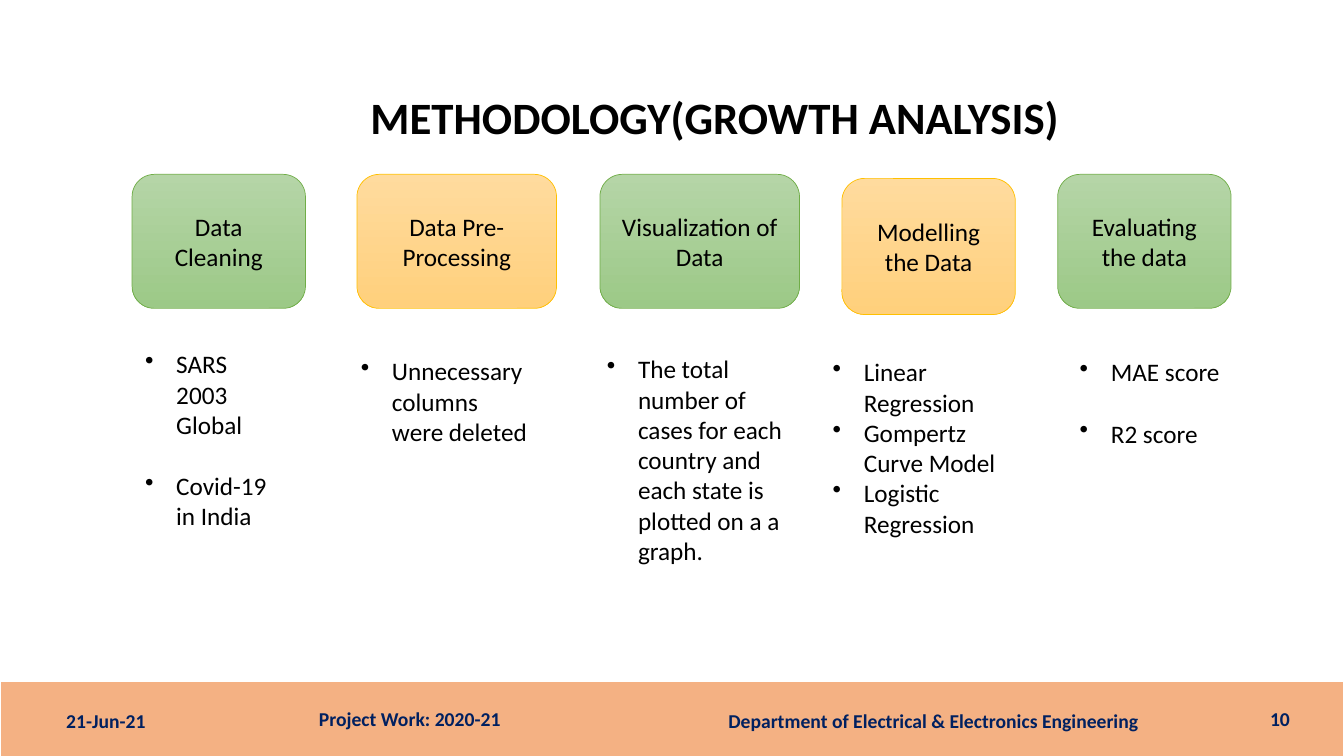
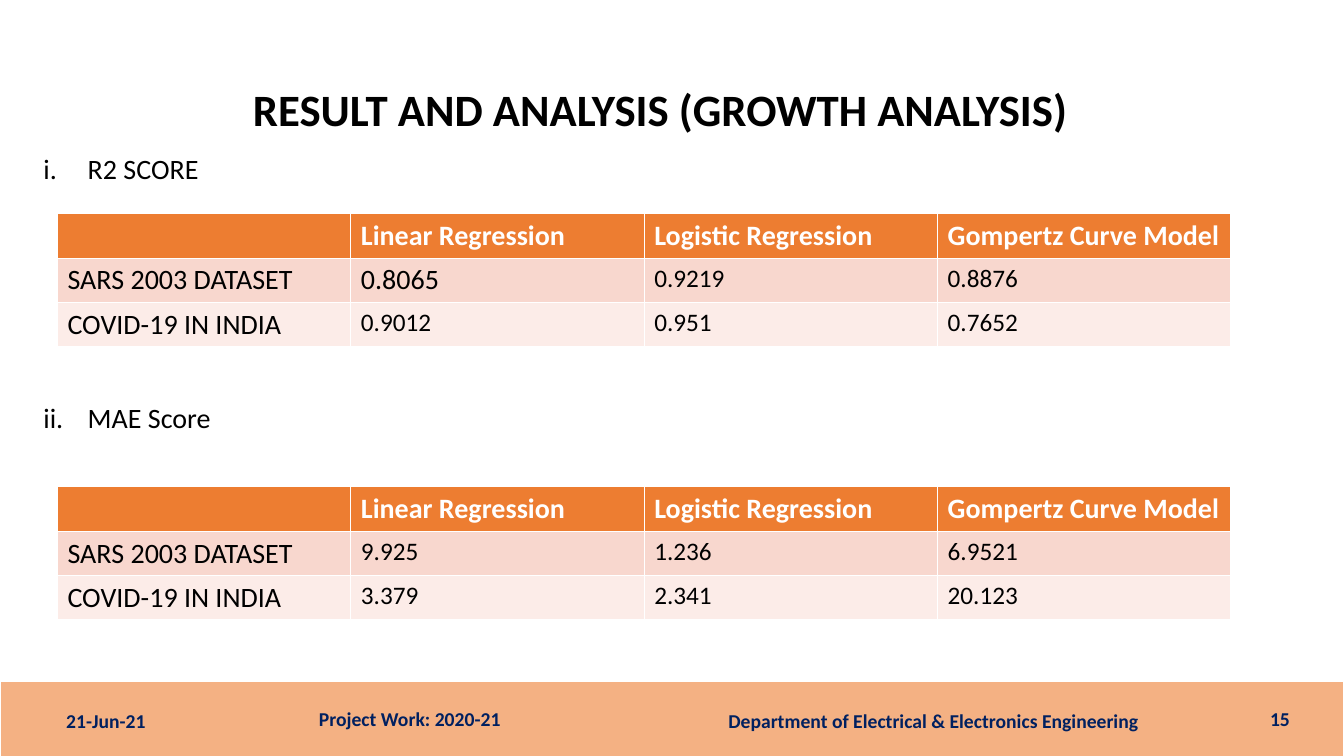
"""Build two slides on the method and results of a growth analysis."""
from dataclasses import dataclass

from lxml import etree
from pptx import Presentation
from pptx import util as u
from pptx.dml import color
from pptx.enum import shapes, text
from pptx.oxml import ns


@dataclass(frozen=True)
class Theme:
    font: str = "Calibri"
    ink: str = "000000"
    paper: str = "FFFFFF"
    navy: str = "002060"
    band: str = "F4B183"
    header: str = "ED7D31"
    rows: tuple = ("F8D7CE", "FCECE8")
    green: tuple = ("B5D5A7", "9CC987", "70AD47")
    amber: tuple = ("FFDB9E", "FFD07C", "FFC000")
    title_size: int = 32
    lead_size: int = 20
    body_size: int = 18
    footer_size: int = 14


theme = Theme()
rgb = color.RGBColor.from_string
left, center = text.PP_ALIGN.LEFT, text.PP_ALIGN.CENTER
top, middle = text.MSO_ANCHOR.TOP, text.MSO_ANCHOR.MIDDLE


def place(item, *lengths):
    for name, value in zip(("left", "top", "width", "height"), lengths):
        setattr(item, name, u.Inches(value))


def write(frame, lines, size, ink=theme.ink, bold=False, align=left, anchor=top,
          spacing=1.0, gap=0, bullet=None, indent=0):
    frame_format = {"word_wrap": True, "auto_size": text.MSO_AUTO_SIZE.NONE,
                    "vertical_anchor": anchor}
    for name, value in frame_format.items():
        setattr(frame, name, value)
    for index, line in enumerate(lines):
        para = frame.add_paragraph() if index else frame.paragraphs[0]
        para_format = {"alignment": align, "line_spacing": spacing,
                       "space_before": u.Pt(gap if index else 0)}
        for name, value in para_format.items():
            setattr(para, name, value)
        span = para.add_run()
        span.text = line
        span_format = {"name": theme.font, "size": u.Pt(size), "bold": bold}
        for name, value in span_format.items():
            setattr(span.font, name, value)
        span.font.color.rgb = rgb(ink)
        if bullet:
            tag, attributes = bullet
            properties = para._p.get_or_add_pPr()
            properties.set("marL", str(u.Inches(indent)))
            properties.set("indent", str(-u.Inches(indent)))
            etree.SubElement(properties, ns.qn(tag), attributes)


deck = Presentation()
deck.slide_width, deck.slide_height = u.Inches(13.33), u.Inches(7.5)
title_only, title_and_content = deck.slide_layouts[5], deck.slide_layouts[1]

slides = [
    (title_only, "METHODOLOGY(GROWTH ANALYSIS)", 1.34, 0.81, "10"),
    (title_and_content, "RESULT AND ANALYSIS (GROWTH ANALYSIS)", 0.8, 0.73, "15"),
]
for layout, heading, x, y, number in slides:
    page = deck.slides.add_slide(layout)
    place(page.shapes.title, x, y, 11.5, 0.76)
    write(page.shapes.title.text_frame, [heading], theme.title_size, bold=True,
          align=center, anchor=middle, spacing=0.9)

    band = page.shapes.add_shape(shapes.MSO_SHAPE.RECTANGLE, 0, 0, 0, 0)
    place(band, 0, 6.76, 13.33, 0.76)
    band.shadow.inherit = False
    band.fill.solid()
    band.fill.fore_color.rgb = rgb(theme.band)
    band.line.color.rgb = rgb(theme.paper)
    band.line.width = u.Pt(1)

    footers = [
        ("21-Jun-21", 0.24, 6.95, 1.62),
        ("Project Work: 2020-21", 2.38, 6.93, 3.37),
        ("Department of Electrical & Electronics Engineering", 6.56, 6.95, 5.4),
        (number, 12.3, 6.93, 0.79),
    ]
    for label, x, y, width in footers:
        box = page.shapes.add_textbox(0, 0, 0, 0)
        place(box, x, y, width, 0.4)
        write(box.text_frame, [label], theme.footer_size, theme.navy, True, center, middle)

method_page, result_page = deck.slides

steps = [
    ("Data Cleaning", theme.green, (1.31, 1.73, 1.72, 1.33),
     ["SARS 2003 Global", "Covid-19 in India"], (1.34, 3.41, 1.54, 1.92), 22),
    ("Data Pre-Processing", theme.amber, (3.54, 1.73, 1.98, 1.33),
     ["Unnecessary columns were deleted"], (3.48, 3.48, 1.87, 1.01), 0),
    ("Visualization of Data", theme.green, (5.95, 1.73, 1.98, 1.33),
     ["The total number of cases for each country and each state is plotted on a a graph."],
     (5.92, 3.46, 2.1, 2.22), 0),
    ("Modelling the Data", theme.amber, (8.35, 1.77, 1.72, 1.35),
     ["Linear Regression", "Gompertz Curve Model", "Logistic Regression"],
     (8.16, 3.49, 2.1, 1.92), 0),
    ("Evaluating the data", theme.green, (10.49, 1.73, 1.72, 1.33),
     ["MAE score", "R2 score"], (10.61, 3.49, 1.8, 1.01), 22),
]
for name, (light, dark, edge), card_area, points, list_area, gap in steps:
    card = method_page.shapes.add_shape(shapes.MSO_SHAPE.ROUNDED_RECTANGLE, 0, 0, 0, 0)
    place(card, *card_area)
    card.shadow.inherit = False
    card.fill.gradient()
    card.fill.gradient_angle = 270
    for stop, shade in zip(card.fill.gradient_stops, (light, dark)):
        stop.color.rgb = rgb(shade)
    card.line.color.rgb = rgb(edge)
    card.line.width = u.Pt(0.5)
    write(card.text_frame, [name], theme.body_size, align=center, anchor=middle)

    box = method_page.shapes.add_textbox(0, 0, 0, 0)
    place(box, *list_area)
    write(box.text_frame, points, theme.body_size, gap=gap,
          bullet=("a:buChar", {"char": "•"}), indent=0.31)

body = result_page.placeholders[1]
place(body, 0.33, 1.49, 12.44, 4.83)
write(body.text_frame, ["R2 SCORE", "MAE Score"], theme.lead_size, spacing=0.9, gap=156,
      bullet=("a:buAutoNum", {"type": "romanLcPeriod"}), indent=0.44)

header = ["", "Linear Regression", "Logistic Regression", "Gompertz Curve Model"]
datasets = ["SARS 2003 DATASET", "COVID-19 IN INDIA"]
scores = [
    (2.12, [["0.8065", "0.9219", "0.8876"], ["0.9012", "0.951", "0.7652"]], 1),
    (4.83, [["9.925", "1.236", "6.9521"], ["3.379", "2.341", "20.123"]], 0),
]
for y, values, last_large in scores:
    frame = result_page.shapes.add_table(3, 4, u.Inches(0.57), u.Inches(y),
                                         u.Inches(11.64), u.Inches(1.32))
    grid = [header] + [[name, *row] for name, row in zip(datasets, values)]
    for r, row in enumerate(grid):
        for c, value in enumerate(row):
            cell = frame.table.cell(r, c)
            cell.fill.solid()
            cell.fill.fore_color.rgb = rgb((theme.header, *theme.rows)[r])
            large = r == 0 or c == 0 or (r == 1 and c <= last_large)
            write(cell.text_frame, [value], theme.lead_size if large else theme.body_size,
                  theme.ink if r else theme.paper, bold=r == 0)

deck.save("out.pptx")
